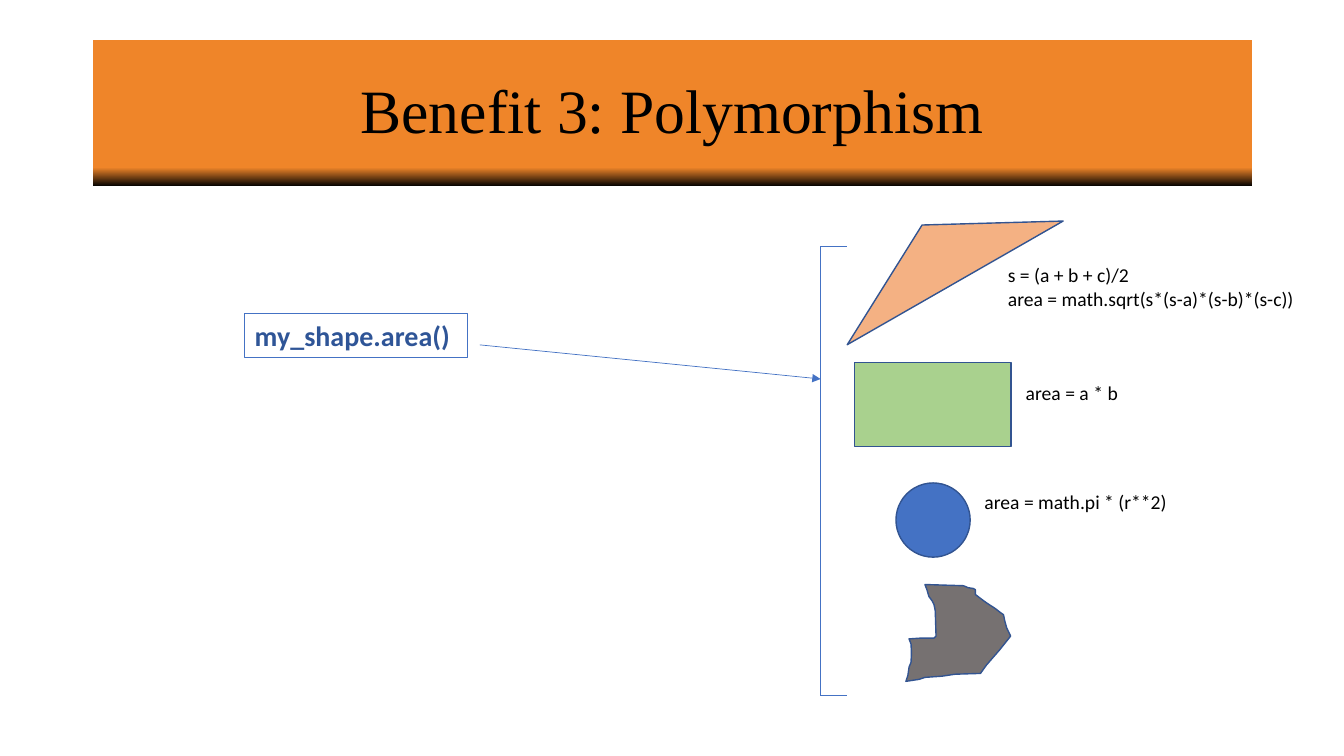
from dataclasses import dataclass

from lxml import etree
from pptx import Presentation
from pptx.dml.color import RGBColor
from pptx.enum.shapes import MSO_CONNECTOR, MSO_SHAPE
from pptx.enum.text import MSO_ANCHOR, MSO_AUTO_SIZE, PP_ALIGN
from pptx.oxml.ns import qn
from pptx.util import Cm, Pt

RECTANGLE = MSO_SHAPE.RECTANGLE
TRIANGLE = MSO_SHAPE.ISOSCELES_TRIANGLE
OVAL = MSO_SHAPE.OVAL
STRAIGHT = MSO_CONNECTOR.STRAIGHT
CENTER = PP_ALIGN.CENTER
MIDDLE = MSO_ANCHOR.MIDDLE
FIT_SHAPE = MSO_AUTO_SIZE.SHAPE_TO_FIT_TEXT


@dataclass(frozen=True)
class Theme:
    black: RGBColor = RGBColor.from_string("000000")
    banner: RGBColor = RGBColor.from_string("EF8529")
    outline: RGBColor = RGBColor.from_string("325491")
    accent: RGBColor = RGBColor.from_string("4472C4")
    call: RGBColor = RGBColor.from_string("2F5597")
    peach: RGBColor = RGBColor.from_string("F4B183")
    green: RGBColor = RGBColor.from_string("A9D18E")
    gray: RGBColor = RGBColor.from_string("767171")
    title_font: str = "Times New Roman"
    body_font: str = "Calibri"
    title_size: Pt = Pt(44)
    call_size: Pt = Pt(20)
    formula_size: Pt = Pt(14)
    outline_width: Pt = Pt(1)
    box_width: Pt = Pt(0.75)
    connector_width: Pt = Pt(0.5)


THEME = Theme()

# Outline of the irregular figure, in hundredths of a centimetre
BLOB_UNIT = Cm(0.01)
BLOB_OUTLINE = [
    (48, 0), (145, 3), (157, 8), (170, 10), (175, 13), (175, 25),
    (196, 41), (206, 48), (226, 61), (236, 69), (246, 76), (249, 91),
    (254, 109), (264, 130), (236, 165), (216, 188), (203, 203), (188, 224),
    (124, 226), (91, 231), (48, 234), (33, 239), (0, 244), (5, 229),
    (8, 208), (13, 196), (14, 173), (13, 150), (8, 137), (38, 135),
    (71, 135), (76, 130), (74, 66), (71, 51), (66, 41), (58, 30), (53, 13),
]

FORMULAS = [
    (25.15, 6.5, 7.77, 1.45,
     ["s = (a + b + c)/2", "area = math.sqrt(s*(s-a)*(s-b)*(s-c))"]),
    (25.6, 9.47, 2.84, 0.86, ["area = a * b"]),
    (24.56, 12.22, 5.16, 0.86, ["area = math.pi * (r**2)"]),
]


def add_run(paragraph, text, font_name, size, color, bold=False):
    run = paragraph.add_run()
    run.text = text
    run.font.name = font_name
    run.font.size = size
    run.font.color.rgb = color
    run.font.bold = bold


def add_banner(slide, text):
    banner = slide.shapes.add_shape(
        RECTANGLE, Cm(2.34), Cm(1.02), Cm(29.21), Cm(3.68))
    banner.shadow.inherit = False
    banner.line.fill.background()
    banner.fill.gradient()
    banner.fill.gradient_angle = 90
    stops = [(0, THEME.black), (0.13, THEME.banner)]
    for stop, (position, color) in zip(banner.fill.gradient_stops, stops):
        stop.position = position
        stop.color.rgb = color
    banner.text_frame.vertical_anchor = MIDDLE
    title = banner.text_frame.paragraphs[0]
    title.alignment = CENTER
    title.line_spacing = 0.9
    add_run(title, text, THEME.title_font, THEME.title_size, THEME.black)


def paint_figure(figure, color):
    figure.shadow.inherit = False
    figure.fill.solid()
    figure.fill.fore_color.rgb = color
    figure.line.color.rgb = THEME.outline
    figure.line.width = THEME.outline_width


def add_figure(slide, preset, left, top, width, height, color, rotation=0):
    figure = slide.shapes.add_shape(
        preset, Cm(left), Cm(top), Cm(width), Cm(height))
    figure.rotation = rotation
    paint_figure(figure, color)


def add_blob(slide, left, top):
    builder = slide.shapes.build_freeform(*BLOB_OUTLINE[0], scale=BLOB_UNIT)
    builder.add_line_segments(BLOB_OUTLINE[1:], close=True)
    paint_figure(builder.convert_to_shape(Cm(left), Cm(top)), THEME.gray)


def add_call_box(slide, text):
    call = slide.shapes.add_textbox(Cm(6.17), Cm(7.9), Cm(5.61), Cm(1.12))
    call.line.color.rgb = THEME.accent
    call.line.width = THEME.box_width
    call.text_frame.word_wrap = True
    call.text_frame.auto_size = FIT_SHAPE
    add_run(call.text_frame.paragraphs[0], text, THEME.body_font,
            THEME.call_size, THEME.call, bold=True)


def add_formula(slide, left, top, width, height, lines):
    formula = slide.shapes.add_textbox(
        Cm(left), Cm(top), Cm(width), Cm(height))
    frame = formula.text_frame
    frame.word_wrap = False
    frame.auto_size = FIT_SHAPE
    for index, text in enumerate(lines):
        paragraph = frame.add_paragraph() if index else frame.paragraphs[0]
        add_run(paragraph, text, THEME.body_font,
                THEME.formula_size, THEME.black)


def add_line(slide, x1, y1, x2, y2, arrow=False):
    line = slide.shapes.add_connector(
        STRAIGHT, Cm(x1), Cm(y1), Cm(x2), Cm(y2))
    line.line.color.rgb = THEME.accent
    line.line.width = THEME.connector_width
    if arrow:
        etree.SubElement(
            line.line._get_or_add_ln(), qn("a:tailEnd"), type="triangle")
    etree.SubElement(line._element.spPr, qn("a:effectLst"))


def add_bracket(slide, left, top, bottom, arm):
    add_line(slide, left, top, left, bottom)
    for y in (top, bottom):
        add_line(slide, left, y, left + arm, y)


def main():
    deck = Presentation()
    deck.slide_width, deck.slide_height = Cm(33.87), Cm(19.05)
    slide = deck.slides.add_slide(deck.slide_layouts[6])

    add_banner(slide, "Benefit 3: Polymorphism")
    add_figure(slide, OVAL, 22.58, 12.17, 1.87, 1.87, THEME.accent)
    add_blob(slide, 22.83, 14.73)
    add_figure(slide, TRIANGLE, 20.52, 5.56, 6.27, 1.68, THEME.peach, 330.2)
    add_figure(slide, RECTANGLE, 21.54, 9.14, 3.94, 2.11, THEME.green)

    add_call_box(slide, "my_shape.area()")
    bracket_left = 20.68
    add_line(slide, 12.09, 8.69, bracket_left, 9.55, arrow=True)
    add_bracket(slide, bracket_left, 6.2, 17.53, 0.66)
    for formula in FORMULAS:
        add_formula(slide, *formula)

    deck.save("out.pptx")


if __name__ == "__main__":
    main()
